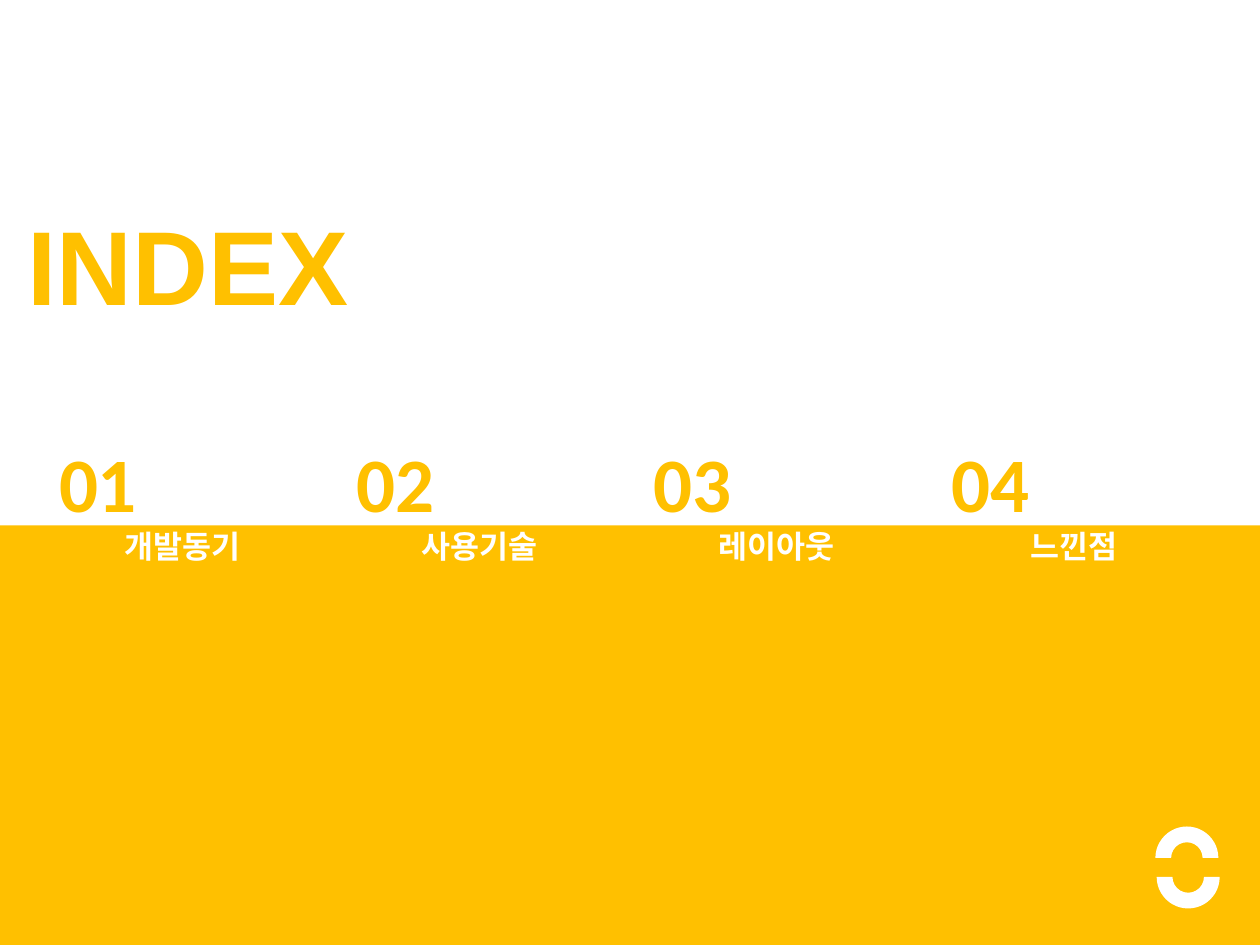
from pptx import Presentation
from pptx.dml.color import RGBColor
from pptx.enum.shapes import MSO_SHAPE as Shape
from pptx.enum.text import MSO_AUTO_SIZE as Fit, PP_ALIGN as Align
from pptx.util import Inches, Pt

GOLD = "FFC000"
WHITE = "FFFFFF"
TOPICS = ["개발동기", "사용기술", "레이아웃", "느낀점"]
STEP = 2.36


def color(code):
    return RGBColor.from_string(code)


def add_solid(slide, kind, box, fill, turn=0):
    """Add a preset shape with a plain fill and no outline."""
    shape = slide.shapes.add_shape(kind, *map(Inches, box))
    shape.shadow.inherit = False
    shape.fill.solid()
    shape.fill.fore_color.rgb = color(fill)
    shape.line.fill.background()
    shape.rotation = turn


def add_text(slide, text, box, face, size, ink, align=Align.LEFT):
    frame = slide.shapes.add_textbox(*map(Inches, box)).text_frame
    frame.word_wrap = True
    frame.auto_size = Fit.SHAPE_TO_FIT_TEXT
    para = frame.paragraphs[0]
    para.text = text
    para.alignment = align
    font = para.font
    font.name, font.size, font.bold = face, Pt(size), True
    font.color.rgb = color(ink)


def main():
    deck = Presentation()
    deck.slide_width, deck.slide_height = Inches(10), Inches(7.5)
    slide = deck.slides.add_slide(deck.slide_layouts[6])

    add_solid(slide, Shape.RECTANGLE, (0, 4.17, 10, 3.33), GOLD)
    for i, topic in enumerate(TOPICS):
        left = i * STEP
        add_text(slide, topic, (0.45 + left, 4.13, 1.99, 0.4),
                 "Arial", 18, WHITE, Align.CENTER)
        add_text(slide, f"{i + 1:02}", (0.37 + left, 3.41, 1.45, 0.84),
                 "Calibri", 44, GOLD)
    add_text(slide, "INDEX", (0.12, 1.54, 5.35, 1.11), "Arial", 60, GOLD)

    add_solid(slide, Shape.BLOCK_ARC, (9.17, 6.56, 0.5, 0.5), WHITE)
    add_solid(slide, Shape.BLOCK_ARC, (9.18, 6.71, 0.5, 0.5), WHITE, 180)
    deck.save("out.pptx")


if __name__ == "__main__":
    main()
